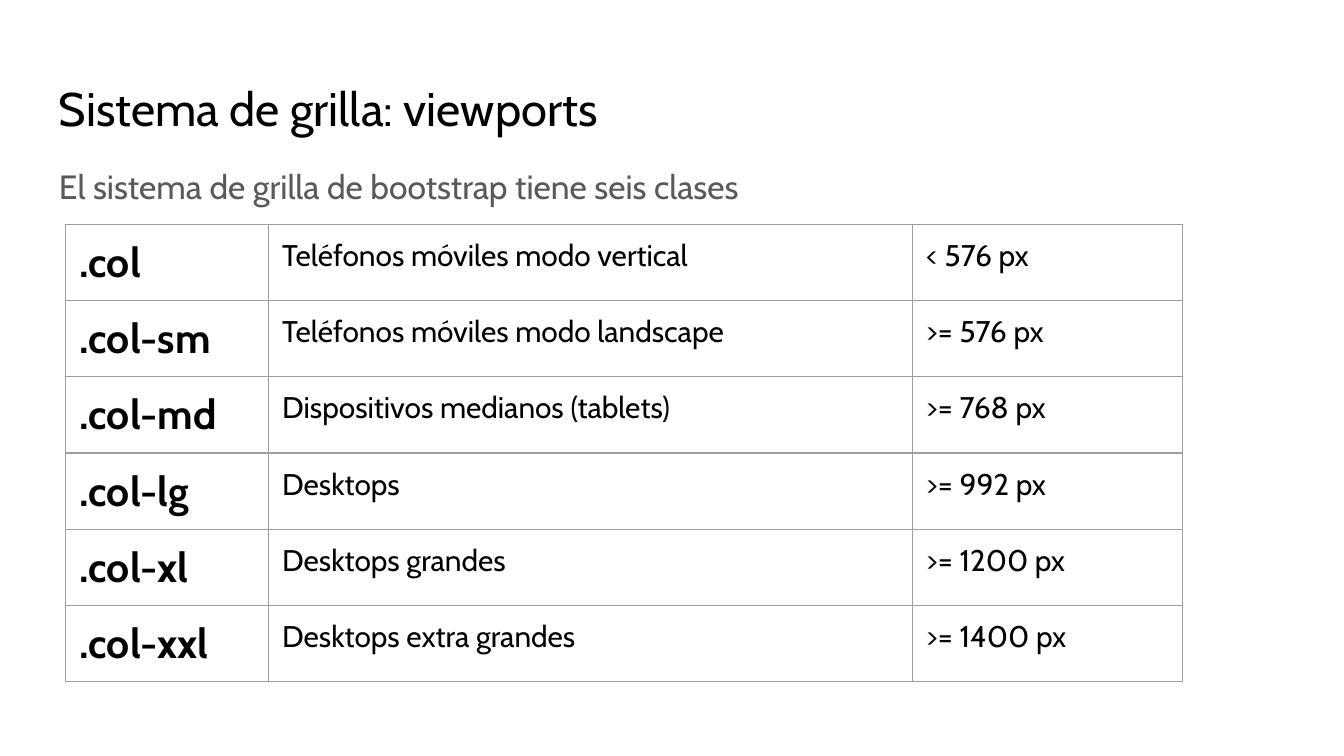
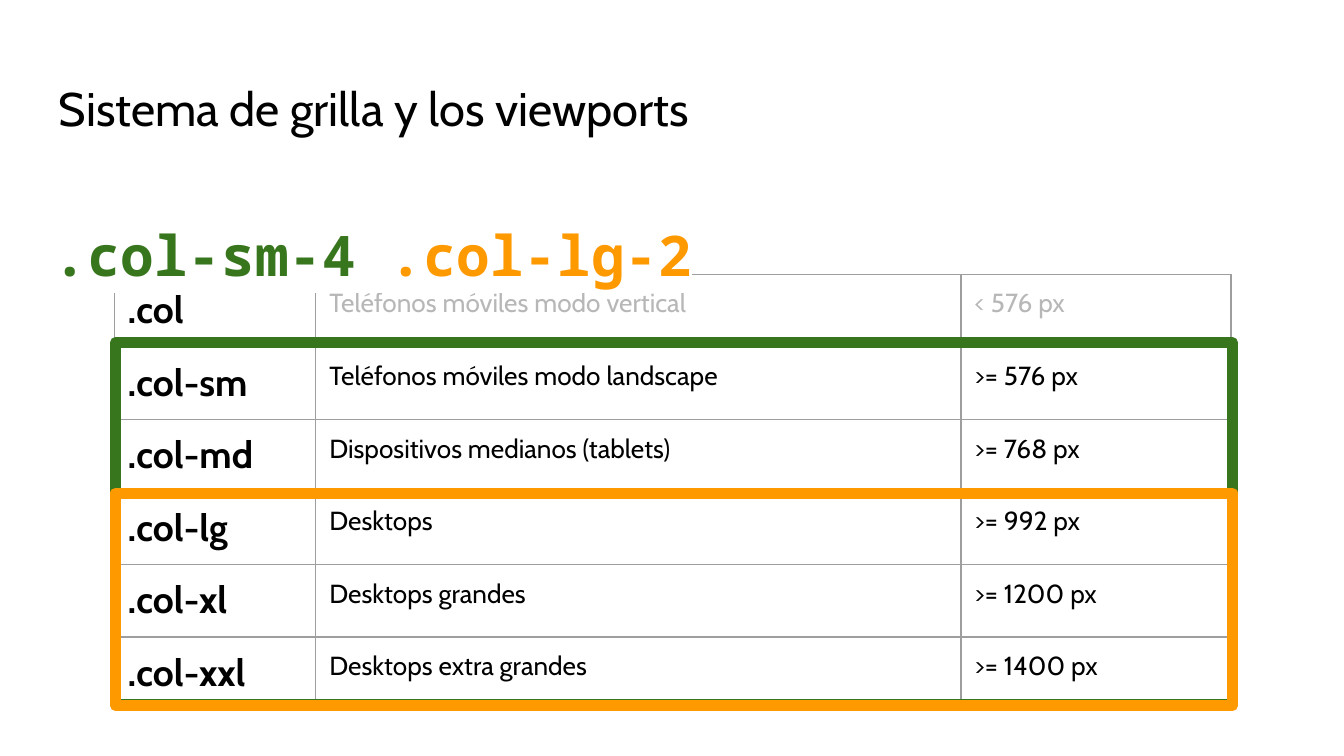
from lxml import etree
from pptx import Presentation
from pptx.dml.color import RGBColor
from pptx.enum.shapes import MSO_SHAPE
from pptx.enum.text import MSO_ANCHOR
from pptx.oxml.ns import qn
from pptx.util import Inches, Pt

RECTANGLE = MSO_SHAPE.RECTANGLE
TOP = MSO_ANCHOR.TOP

COLORS = {
    "ink": "000000",
    "subtitle": "595959",
    "muted": "B7B7B7",
    "grid": "9E9E9E",
    "small": "38761D",
    "large": "FF9900",
    "paper": "FFFFFF",
}
SANS, MONO = "Cabin", "Noto Sans Mono"

# Page grid: 100 columns by 56.25 rows
COLUMNS, ROWS = 100, 56.25
WIDTH, HEIGHT = Inches(10), Inches(5.625)

VIEWPORTS = [
    (".col", "Teléfonos móviles modo vertical", "< 576 px"),
    (".col-sm", "Teléfonos móviles modo landscape", ">= 576 px"),
    (".col-md", "Dispositivos medianos (tablets)", ">= 768 px"),
    (".col-lg", "Desktops", ">= 992 px"),
    (".col-xl", "Desktops grandes", ">= 1200 px"),
    (".col-xxl", "Desktops extra grandes", ">= 1400 px"),
]


def rgb(name):
    return RGBColor.from_string(COLORS[name])


def add_solid_fill(parent, color):
    fill = etree.SubElement(parent, qn("a:solidFill"))
    etree.SubElement(fill, qn("a:srgbClr"), val=COLORS[color])


class Deck:
    def __init__(self):
        self.prs = Presentation()
        self.prs.slide_width, self.prs.slide_height = WIDTH, HEIGHT
        self.slide = None

    def across(self, columns):
        return round(WIDTH * columns / COLUMNS)

    def down(self, rows):
        return round(HEIGHT * rows / ROWS)

    def area(self, left, top, width, height):
        return (self.across(left), self.down(top),
                self.across(width), self.down(height))

    def new_slide(self):
        self.slide = self.prs.slides.add_slide(self.prs.slide_layouts[6])
        self.slide.background.fill.solid()
        self.slide.background.fill.fore_color.rgb = rgb("paper")

    def run(self, paragraph, text, size, color="ink", bold=False, font=SANS,
            highlight=None):
        run = paragraph.add_run()
        run.text = text
        run.font.size, run.font.bold, run.font.name = Pt(size), bold, font
        run.font.color.rgb = rgb(color)
        if highlight:
            mark = etree.Element(qn("a:highlight"))
            etree.SubElement(mark, qn("a:srgbClr"), val=COLORS[highlight])
            run.font._element.find(qn("a:solidFill")).addnext(mark)

    def paragraph(self, area, spacing=1.0):
        frame = self.slide.shapes.add_textbox(*self.area(*area)).text_frame
        frame.word_wrap = True
        frame.vertical_anchor = TOP
        frame.margin_left = frame.margin_right = Inches(0.1)
        frame.margin_top = frame.margin_bottom = Inches(0.1)
        paragraph = frame.paragraphs[0]
        paragraph.line_spacing = spacing
        return paragraph

    def title(self, text):
        self.run(self.paragraph((3.4, 4.9, 93.2, 6.3)), text, 25.2)

    def borders(self, cell):
        properties = cell._tc.get_or_add_tcPr()
        for side in ("lnL", "lnR", "lnT", "lnB"):
            line = etree.SubElement(properties, qn(f"a:{side}"), w=str(Pt(0.75)))
            add_solid_fill(line, "grid")

    def viewport_table(self, left, top, widths, row_height, class_size,
                       text_size, muted_rows=()):
        area = self.area(left, top, sum(widths), row_height * len(VIEWPORTS))
        table = self.slide.shapes.add_table(
            len(VIEWPORTS), len(widths), *area).table
        table.first_row = table.horz_banding = False
        for column, width in zip(table.columns, widths):
            column.width = self.across(width)
        for i, texts in enumerate(VIEWPORTS):
            table.rows[i].height = self.down(row_height)
            for j, text in enumerate(texts):
                cell = table.cell(i, j)
                self.borders(cell)
                cell.fill.background()
                cell.margin_left = cell.margin_right = Inches(0.1)
                cell.margin_top = cell.margin_bottom = Inches(0.1)
                is_class = j == 0
                muted = i in muted_rows and not is_class
                self.run(cell.text_frame.paragraphs[0], text,
                         class_size if is_class else text_size,
                         "muted" if muted else "ink", is_class)

    def frame(self, area, color):
        outline = self.slide.shapes.add_shape(RECTANGLE, *self.area(*area))
        outline.shadow.inherit = False
        outline.fill.background()
        outline.line.color.rgb = rgb(color)
        outline.line.width = Pt(6)
        etree.SubElement(outline.line._get_or_add_ln(), qn("a:round"))


def main():
    deck = Deck()

    # Slide 1: the six grid classes
    deck.new_slide()
    deck.title("Sistema de grilla: viewports")
    subtitle = deck.paragraph((3.4, 10.9, 93.2, 39.4), 1.15)
    deck.run(subtitle, "El sistema de grilla de bootstrap tiene seis clases",
             18, "subtitle")
    deck.viewport_table(4.9, 16.7, (15.1, 47.9, 20.1), 5.6, 22, 16)

    # Slide 2: the viewports each class reaches
    deck.new_slide()
    deck.viewport_table(8.5, 20.4, (15, 48, 20.1), 5.4, 20, 14, muted_rows=(0,))
    deck.title("Sistema de grilla y los viewports")
    classes = deck.paragraph((3, 13.1, 94.2, 7.1), 1.46)
    for text, color in ((".col-sm-4 ", "small"), (".col-lg-2", "large")):
        deck.run(classes, text, 30, color, True, MONO, "paper")

    # Frames around the rows each class covers
    for top, height, color in ((25.5, 26.9, "small"), (36.7, 15.8, "large")):
        deck.frame((8.6, top, 83.1, height), color)

    deck.prs.save("out.pptx")


if __name__ == "__main__":
    main()
